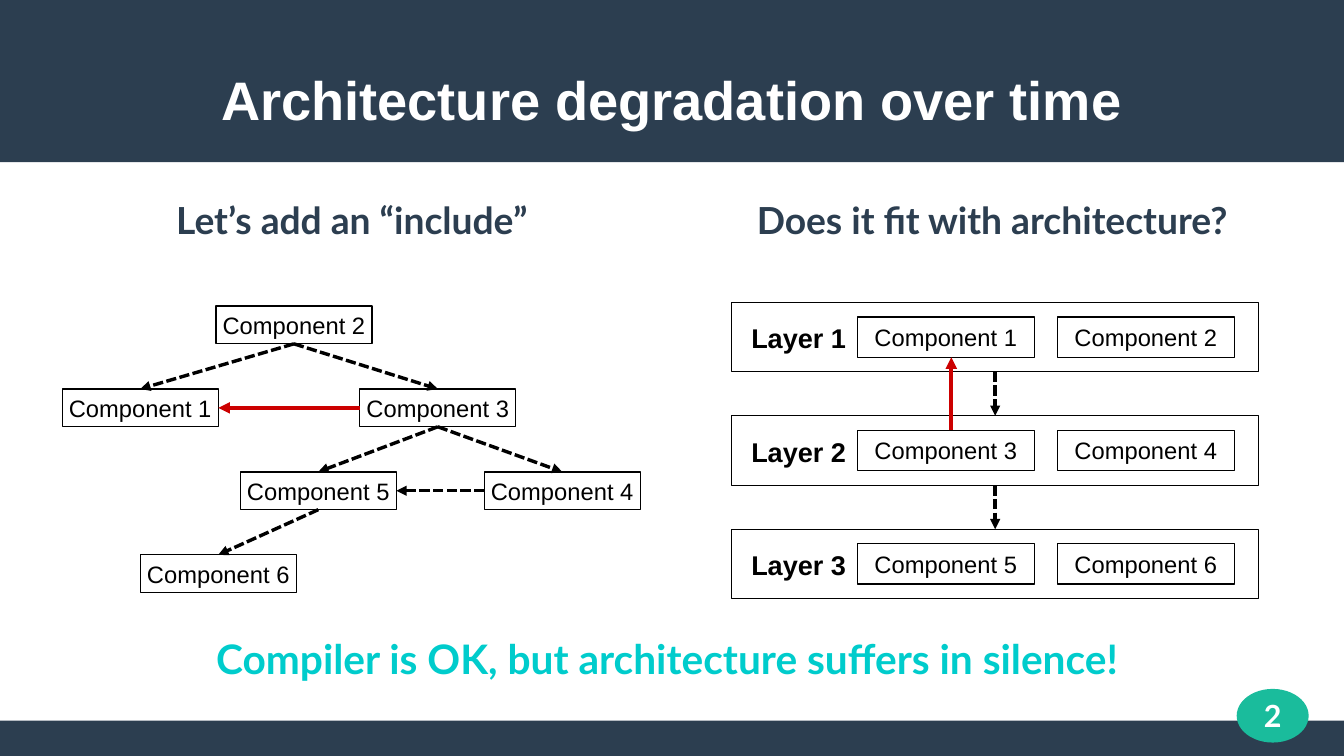
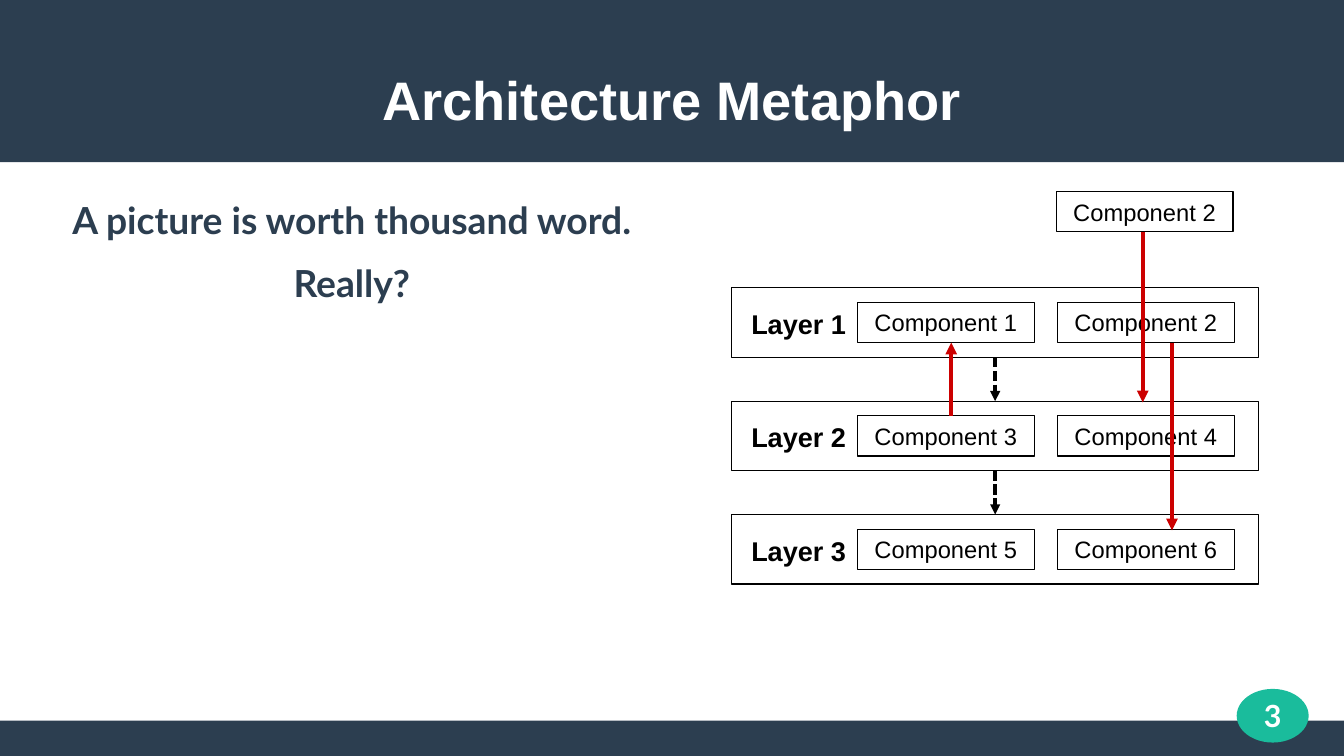
import pptx
import pptx.util
import pptx.dml.color
import pptx.enum.dml
import pptx.enum.shapes
import pptx.enum.text
import pptx.oxml

WIDTH, HEIGHT = 11.02, 6.2
MARGIN = 0.39
NAVY, TEAL, CYAN = "2C3E50", "1ABC9C", "00CCCC"
RED, BLACK, WHITE = "CC0000", "000000", "FFFFFF"
HEADING_FONT, BODY_FONT = "Arial", "Lato"
SHAPES = pptx.enum.shapes.MSO_SHAPE
ALIGN = pptx.enum.text.PP_ALIGN
ANCHOR = pptx.enum.text.MSO_ANCHOR
TOP, LEFT, BOTTOM, RIGHT = range(4)  # connection sites of a rectangle


def color(value):
    return pptx.dml.color.RGBColor.from_string(value)


def inches(*lengths):
    return [pptx.util.Inches(length) for length in lengths]


def write(shape, lines, size, font, ink, bold=True, align=ALIGN.CENTER,
          anchor=ANCHOR.MIDDLE, inset=0.0, after=0.0):
    frame = shape.text_frame
    frame.word_wrap = True
    frame.vertical_anchor = anchor
    frame.margin_left = frame.margin_right = pptx.util.Inches(inset)
    frame.margin_top = frame.margin_bottom = pptx.util.Inches(inset)
    for index, line in enumerate(lines):
        para = frame.add_paragraph() if index else frame.paragraphs[0]
        para.alignment = align
        para.space_after = pptx.util.Pt(after)
        span = para.add_run()
        span.text = line
        span.font.size = pptx.util.Pt(size)
        span.font.name = font
        span.font.bold = bold
        span.font.color.rgb = color(ink)


def add_text(page, box, lines, size, font, ink, **style):
    write(page.shapes.add_textbox(*inches(*box)), lines, size, font, ink, **style)


def add_solid(page, kind, box, fill):
    shape = page.shapes.add_shape(kind, *inches(*box))
    shape.shadow.inherit = False
    shape.fill.solid()
    shape.fill.fore_color.rgb = color(fill)
    shape.line.fill.background()
    return shape


def add_outline(page, box):
    shape = page.shapes.add_shape(SHAPES.RECTANGLE, *inches(*box))
    shape.shadow.inherit = False
    shape.fill.background()
    shape.line.color.rgb = color(BLACK)
    shape.line.width = pptx.util.Pt(0)
    return shape


def add_component(page, box, number):
    shape = add_outline(page, box)
    write(shape, [f"Component {number}"], 14, HEADING_FONT, BLACK, bold=False, inset=0.04)
    return shape


def add_arrow(page, start=(0, 0), end=(0, 0), ink=BLACK, width=0.0, dashed=False):
    arrow = page.shapes.add_connector(
        pptx.enum.shapes.MSO_CONNECTOR.STRAIGHT, *inches(*start, *end))
    arrow.line.color.rgb = color(ink)
    arrow.line.width = pptx.util.Pt(width)
    if dashed:
        arrow.line.dash_style = pptx.enum.dml.MSO_LINE.SQUARE_DOT
    namespace = pptx.oxml.ns.nsdecls("a")
    arrow.line._get_or_add_ln().append(
        pptx.oxml.parse_xml(f'<a:tailEnd {namespace} type="triangle"/>'))
    arrow._element.spPr.append(pptx.oxml.parse_xml(f"<a:effectLst {namespace}/>"))
    return arrow


def link(page, source, source_site, target, target_site, **style):
    arrow = add_arrow(page, **style)
    arrow.begin_connect(source, source_site)
    arrow.end_connect(target, target_site)


def add_violation(page, x, start, end):
    add_arrow(page, (x, start), (x, end), RED, 2.3)


# Bands, title and page number
def add_page(deck, title, number):
    page = deck.slides.add_slide(deck.slide_layouts[6])
    add_solid(page, SHAPES.RECTANGLE, (0, 5.91, WIDTH, HEIGHT - 5.91), NAVY)
    add_solid(page, SHAPES.RECTANGLE, (0, 0, WIDTH, 1.33), NAVY)
    badge = add_solid(page, SHAPES.OVAL, (10.14, 5.65, 0.59, 0.44), TEAL)
    write(badge, [str(number)], 18, BODY_FONT, WHITE)
    add_text(page, (MARGIN, 0.56, WIDTH - 2 * MARGIN, 0.5), [title],
             32, HEADING_FONT, WHITE)
    return page


def add_heading(page, left, lines):
    add_text(page, (left, 1.62, 4.99, 1.1), lines, 22, BODY_FONT, NAVY,
             anchor=ANCHOR.TOP, after=10.6)


# Include graph: each component has an offset and a row
def add_include_graph(page, left, top):
    places = {1: (0, 1), 2: (1.26, 0), 3: (2.44, 1),
              4: (3.46, 2), 5: (1.46, 2), 6: (0.64, 3)}
    row_pitch = 0.68
    nodes = {
        number: add_component(
            page, (left + offset, top + row * row_pitch, 1.28, 0.31), number)
        for number, (offset, row) in places.items()
    }
    for source, target in ((2, 1), (2, 3), (3, 5), (3, 4), (5, 6)):
        link(page, nodes[source], BOTTOM, nodes[target], TOP, dashed=True)
    link(page, nodes[4], LEFT, nodes[5], RIGHT, dashed=True)
    link(page, nodes[3], LEFT, nodes[1], RIGHT, ink=RED, width=2.3)


# Layer stack: three layers of two components, with one upward violation
def add_layer_stack(page, left, top):
    row_pitch, column_pitch = 0.93, 1.64
    first_column, inner_top, inner_height = 1.03, 0.12, 0.33
    layers = []
    for row in range(3):
        layer_top = top + row * row_pitch
        layer = add_outline(page, (left, layer_top, 4.32, 0.57))
        write(layer, [f"Layer {row + 1}"], 16, HEADING_FONT, BLACK,
              align=ALIGN.LEFT, anchor=ANCHOR.TOP, inset=0.16)
        layers.append(layer)
        for column in range(2):
            add_component(
                page,
                (left + first_column + column * column_pitch,
                 layer_top + inner_top, 1.45, inner_height),
                2 * row + column + 1)
    for upper, lower in zip(layers, layers[1:]):
        link(page, upper, BOTTOM, lower, TOP, dashed=True)
    add_violation(page, left + 1.8, top + row_pitch + inner_top,
                  top + inner_top + inner_height)


# Stray component above the stack, and the two downward violations
def add_stray_component(page, left, top):
    add_component(page, (left, top, 1.45, 0.33), 2)
    add_violation(page, left + 0.71, top + 0.33, top + 1.73)
    add_violation(page, left + 0.95, top + 1.24, top + 2.78)


def build_degradation(deck):
    page = add_page(deck, "Architecture degradation over time", 2)
    add_heading(page, MARGIN, ["Let’s add an “include”"])
    add_heading(page, 5.64, ["Does it fit with architecture?"])
    add_include_graph(page, 0.51, 2.51)
    add_layer_stack(page, 6, 2.48)
    add_text(page, (MARGIN, 5.12, 10.16, 0.55),
             ["Compiler is OK, but architecture suffers in silence!"],
             24, BODY_FONT, CYAN)


def build_metaphor(deck):
    page = add_page(deck, "Architecture Metaphor", 3)
    add_heading(page, MARGIN, ["A picture is worth thousand word.", "Really?"])
    add_layer_stack(page, 6, 2.36)
    add_stray_component(page, 8.66, 1.57)


def main():
    deck = pptx.Presentation()
    deck.slide_width, deck.slide_height = inches(WIDTH, HEIGHT)
    build_degradation(deck)
    build_metaphor(deck)
    deck.save("out.pptx")


if __name__ == "__main__":
    main()
